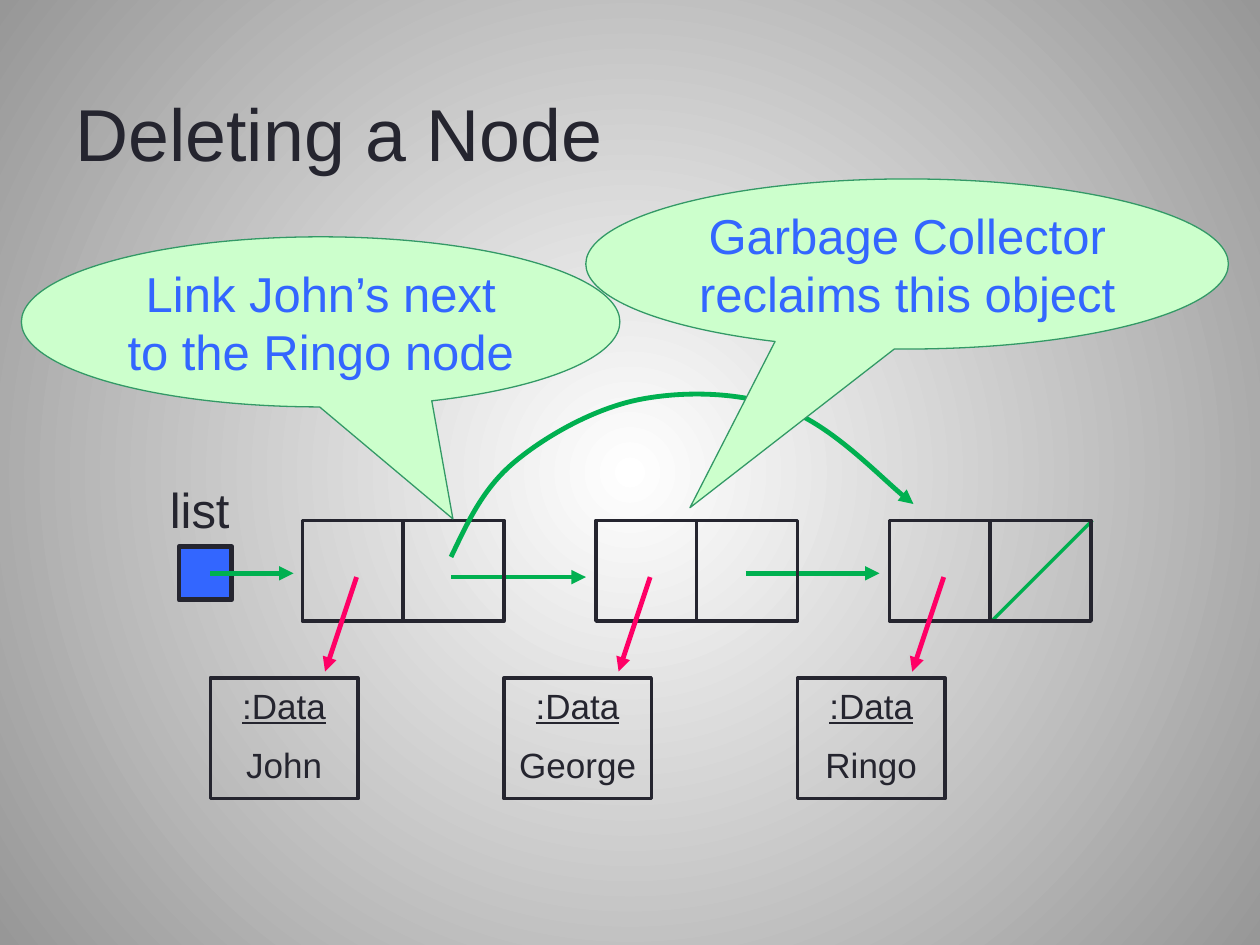
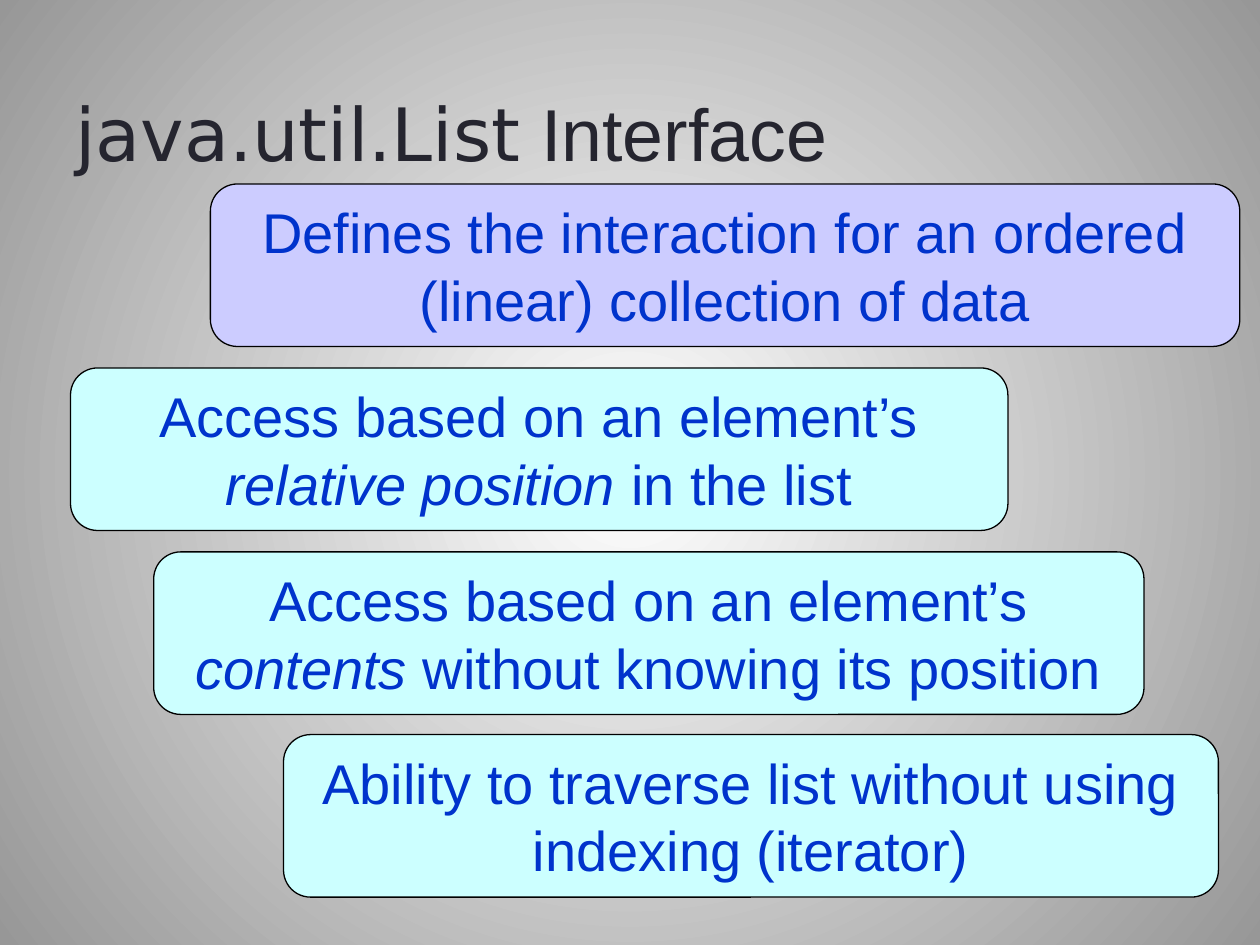
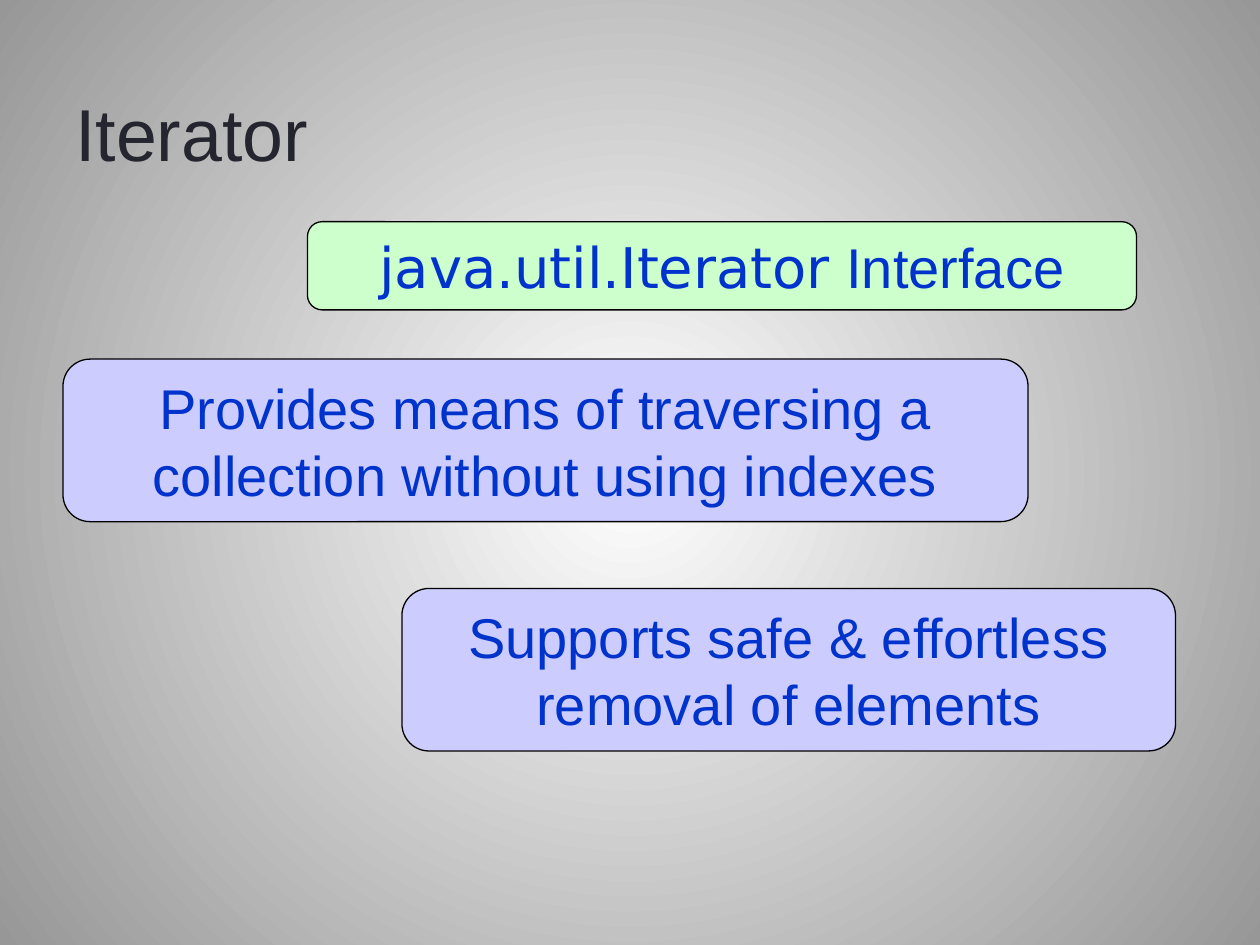
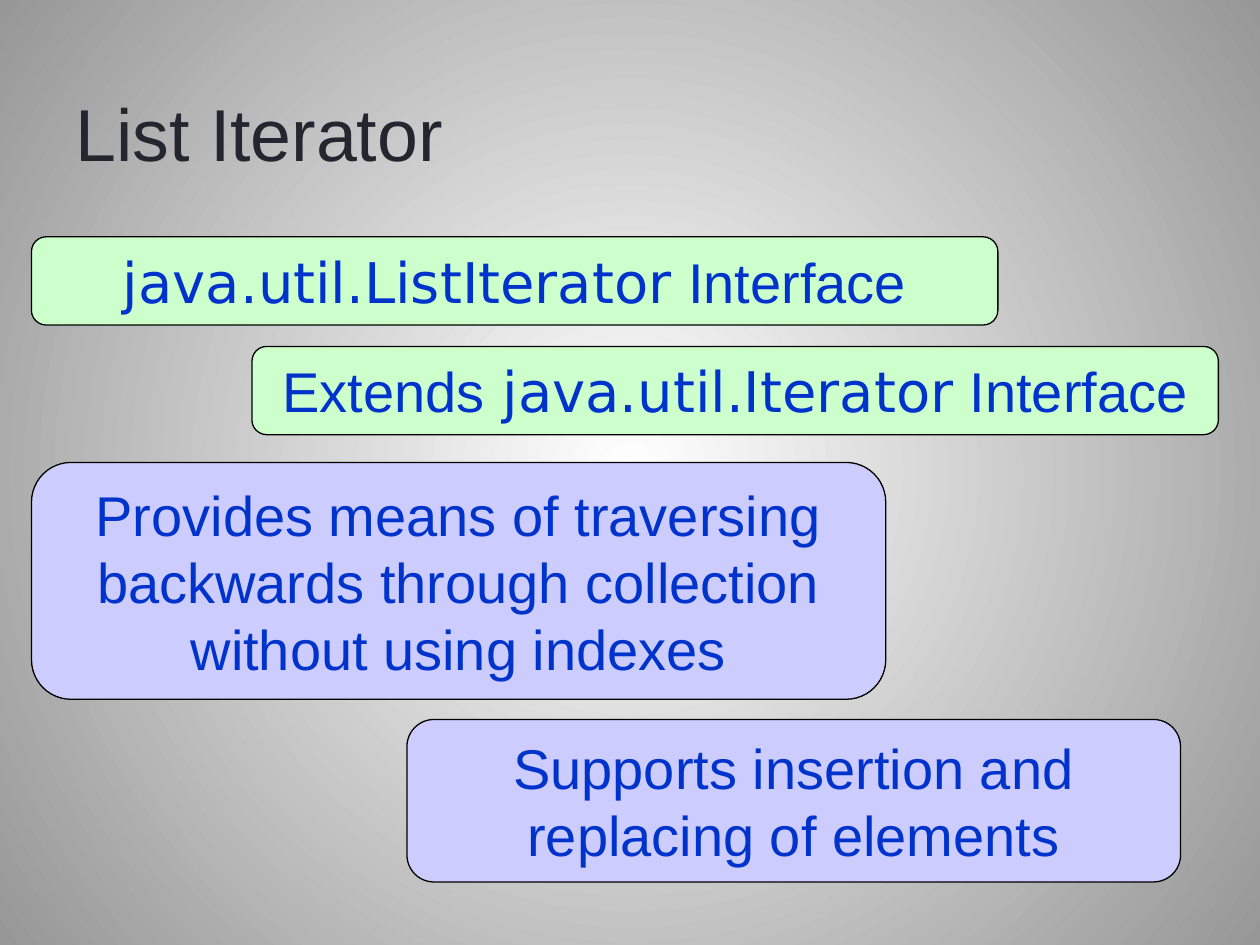
from dataclasses import dataclass

from lxml import etree
from pptx import Presentation
from pptx.dml.color import RGBColor as RGB
from pptx.enum.shapes import MSO_CONNECTOR as CONNECTOR, MSO_SHAPE as SHAPE
from pptx.enum.text import MSO_ANCHOR as ANCHOR, PP_ALIGN as ALIGN
from pptx.oxml.ns import qn
from pptx.util import Inches, Pt


@dataclass(frozen=True)
class Theme:
    font: str = "Arial"
    code_font: str = "DejaVu Sans"
    title_size: float = 42
    card_size: float = 32
    label_size: float = 28
    data_size: float = 20
    arrow_width: float = 2.75
    box_width: float = 2
    thin_width: float = 0.75
    ink: RGB = RGB.from_string("25252F")
    black: RGB = RGB.from_string("000000")
    card_text: RGB = RGB.from_string("0033CC")
    blue: RGB = RGB.from_string("3366FF")
    green: RGB = RGB.from_string("00B050")
    pink: RGB = RGB.from_string("FF0066")
    mint: RGB = RGB.from_string("CCFFCC")
    lilac: RGB = RGB.from_string("CCCCFF")
    aqua: RGB = RGB.from_string("CCFFFF")
    callout_edge: RGB = RGB.from_string("339966")
    glow: RGB = RGB.from_string("FFFFFF")
    rim: RGB = RGB.from_string("979797")


THEME = Theme()
CODE, ITALIC = "code", "italic"
NODE_PITCH = 2.33
CELL = 0.8
CELL_TOP = 4.13


def inches(*lengths):
    return [Inches(length) for length in lengths]


def write(paragraph, parts, size, color, align=ALIGN.CENTER):
    paragraph.alignment = align
    font = paragraph.font
    font.name, font.size, font.color.rgb = THEME.font, Pt(size), color
    for part in [parts] if isinstance(parts, str) else parts:
        text, style = (part, None) if isinstance(part, str) else part
        run = paragraph.add_run()
        run.text = text
        if style == CODE:
            run.font.name = THEME.code_font
        elif style == ITALIC:
            run.font.italic = True


def add_text(shapes, at, parts, size, align, anchor):
    frame = shapes.add_textbox(*inches(*at)).text_frame
    frame.word_wrap = True
    frame.vertical_anchor = anchor
    write(frame.paragraphs[0], parts, size, THEME.ink, align)


def add_box(shapes, kind, at, fill, edge, width, adjustments=()):
    box = shapes.add_shape(kind, *inches(*at))
    box.shadow.inherit = False
    if fill is None:
        box.fill.background()
    else:
        box.fill.solid()
        box.fill.fore_color.rgb = fill
    box.line.color.rgb, box.line.width = edge, Pt(width)
    for index, value in enumerate(adjustments):
        box.adjustments[index] = value
    box.text_frame.word_wrap = True
    return box


def add_arrowhead(line):
    etree.SubElement(line.line._get_or_add_ln(), qn("a:tailEnd"), {"type": "triangle"})


def add_line(shapes, start, end, color, width=THEME.arrow_width, arrow=True):
    line = shapes.add_connector(CONNECTOR.STRAIGHT, *inches(*start, *end))
    line.line.color.rgb, line.line.width = color, Pt(width)
    if arrow:
        add_arrowhead(line)
    etree.SubElement(line._element.spPr, qn("a:effectLst"))


def add_curved_arrow(shapes, start, controls, color):
    builder = shapes.build_freeform(*inches(*start), scale=1.0)
    builder.add_line_segments([inches(*point) for point in controls], close=False)
    curve = builder.convert_to_shape()
    curve.shadow.inherit = False
    curve.fill.background()
    curve.line.color.rgb, curve.line.width = color, Pt(THEME.arrow_width)
    add_arrowhead(curve)
    segments = list(curve._element.iter(qn("a:lnTo")))
    outline = segments[0].getparent()
    for first in range(0, len(segments), 3):
        bezier = etree.SubElement(outline, qn("a:cubicBezTo"))
        for segment in segments[first:first + 3]:
            bezier.append(segment[0])
            outline.remove(segment)


def add_card(slide, at, fill, parts):
    card = add_box(slide.shapes, SHAPE.ROUNDED_RECTANGLE, at, fill,
                   THEME.black, THEME.thin_width, [0.167])
    card.text_frame.vertical_anchor = ANCHOR.MIDDLE
    write(card.text_frame.paragraphs[0], parts, THEME.card_size, THEME.card_text)


def add_callout(slide, at, tip, text):
    callout = add_box(slide.shapes, SHAPE.OVAL_CALLOUT, at, THEME.mint,
                      THEME.callout_edge, THEME.thin_width, tip)
    callout.text_frame.vertical_anchor = ANCHOR.MIDDLE
    write(callout.text_frame.paragraphs[0], text, THEME.label_size, THEME.blue)


def add_list_pointer(slide):
    shapes = slide.shapes.add_group_shape().shapes
    add_text(shapes, (1.17, 3.76, 0.83, 0.57), "list", THEME.label_size,
             ALIGN.CENTER, ANCHOR.TOP)
    add_box(shapes, SHAPE.RECTANGLE, (1.42, 4.34, 0.42, 0.42), THEME.blue,
            THEME.ink, THEME.arrow_width)
    add_line(shapes, (1.67, 4.55), (2.33, 4.55), THEME.green)


def add_node(slide, offset, name):
    shapes = slide.shapes.add_group_shape().shapes
    data = add_box(shapes, SHAPE.RECTANGLE, (1.67 + offset, 5.38, 1.17, 0.96),
                   None, THEME.ink, THEME.box_width)
    frame = data.text_frame
    frame.vertical_anchor = ANCHOR.TOP
    heading, value = frame.paragraphs[0], frame.add_paragraph()
    write(heading, ":Data", THEME.data_size, THEME.ink)
    heading.font.underline = True
    write(value, name, THEME.data_size, THEME.ink)
    value.space_before = Pt(THEME.data_size / 2)
    for column in range(2):
        add_box(shapes, SHAPE.RECTANGLE, (2.4 + offset + column * CELL, CELL_TOP, CELL, CELL),
                None, THEME.ink, THEME.box_width)
    add_line(shapes, (2.83 + offset, 4.58), (2.58 + offset, 5.33), THEME.pink)


def add_slide(deck, title):
    slide = deck.slides.add_slide(deck.slide_layouts[6])
    fill = slide.background.fill
    fill.gradient()
    for stop, color, position in zip(fill.gradient_stops, (THEME.glow, THEME.rim), (0, 1)):
        stop.color.rgb, stop.position = color, position
    gradient = next(slide.element.iter(qn("a:gradFill")))
    gradient.remove(gradient.find(qn("a:lin")))
    radial = etree.SubElement(gradient, qn("a:path"), {"path": "circle"})
    etree.SubElement(radial, qn("a:fillToRect"), dict.fromkeys("ltrb", "50000"))
    add_text(slide.shapes, (0.5, 0.21, 8.83, 1.67), title, THEME.title_size,
             ALIGN.LEFT, ANCHOR.MIDDLE)
    return slide


def add_card_slide(deck, title, cards):
    slide = add_slide(deck, title)
    for at, fill, parts in cards:
        add_card(slide, at, fill, parts)


def add_deletion_slide(deck):
    slide = add_slide(deck, "Deleting a Node")
    add_list_pointer(slide)
    for start, end, y in ((3.58, 4.65, 4.58), (5.92, 6.98, 4.55)):
        add_line(slide.shapes, (start, y), (end, y), THEME.green)
    add_line(slide.shapes, (8.67, CELL_TOP), (7.87, CELL_TOP + CELL), THEME.green,
             THEME.box_width, arrow=False)
    for index, name in enumerate(("John", "George", "Ringo")):
        add_node(slide, index * NODE_PITCH, name)
    add_curved_arrow(slide.shapes, (3.58, 4.42), [
        (3.71, 4.15), (3.83, 3.88), (4.08, 3.67),
        (4.33, 3.46), (4.72, 3.24), (5.08, 3.17),
        (5.44, 3.1), (5.89, 3.11), (6.25, 3.25),
        (6.61, 3.39), (7.08, 3.88), (7.25, 4),
    ], THEME.green)
    add_callout(slide, (0.17, 1.88, 4.75, 1.35), (0.221, 1.158),
                "Link John’s next to the Ringo node")
    add_callout(slide, (4.65, 1.42, 5.1, 1.35), (-0.338, 1.433),
                "Garbage Collector reclaims this object")


def main():
    deck = Presentation()
    deck.slide_width, deck.slide_height = inches(10, 7.5)
    add_deletion_slide(deck)
    add_card_slide(deck, [("java.util.List", CODE), " Interface"], [
        ((1.67, 1.46, 8.17, 1.29), THEME.lilac,
         "Defines the interaction for an ordered (linear) collection of data"),
        ((0.56, 2.92, 7.44, 1.29), THEME.aqua,
         ["Access based on an element’s ", ("relative position", ITALIC), " in the list"]),
        ((1.22, 4.38, 7.86, 1.29), THEME.aqua,
         ["Access based on an element’s ", ("contents", ITALIC),
          " without knowing its position"]),
        ((2.25, 5.83, 7.42, 1.29), THEME.aqua,
         "Ability to traverse list without using indexing (iterator)"),
    ])
    add_card_slide(deck, "Iterator", [
        ((2.44, 1.76, 6.58, 0.7), THEME.mint, [("java.util.Iterator", CODE), " Interface"]),
        ((0.5, 2.85, 7.66, 1.29), THEME.lilac,
         "Provides means of traversing a collection without using indexes"),
        ((3.19, 4.67, 6.14, 1.29), THEME.lilac,
         "Supports safe & effortless removal of elements"),
    ])
    add_card_slide(deck, "List Iterator", [
        ((0.25, 1.88, 7.67, 0.7), THEME.mint,
         [("java.util.ListIterator", CODE), " Interface"]),
        ((0.25, 3.67, 6.78, 1.88), THEME.lilac,
         "Provides means of traversing backwards through collection without using indexes"),
        ((3.23, 5.71, 6.14, 1.29), THEME.lilac,
         "Supports insertion and replacing of elements"),
        ((2, 2.75, 7.67, 0.7), THEME.mint,
         ["Extends", (" java.util.Iterator", CODE), " Interface"]),
    ])
    deck.save("out.pptx")


if __name__ == "__main__":
    main()
